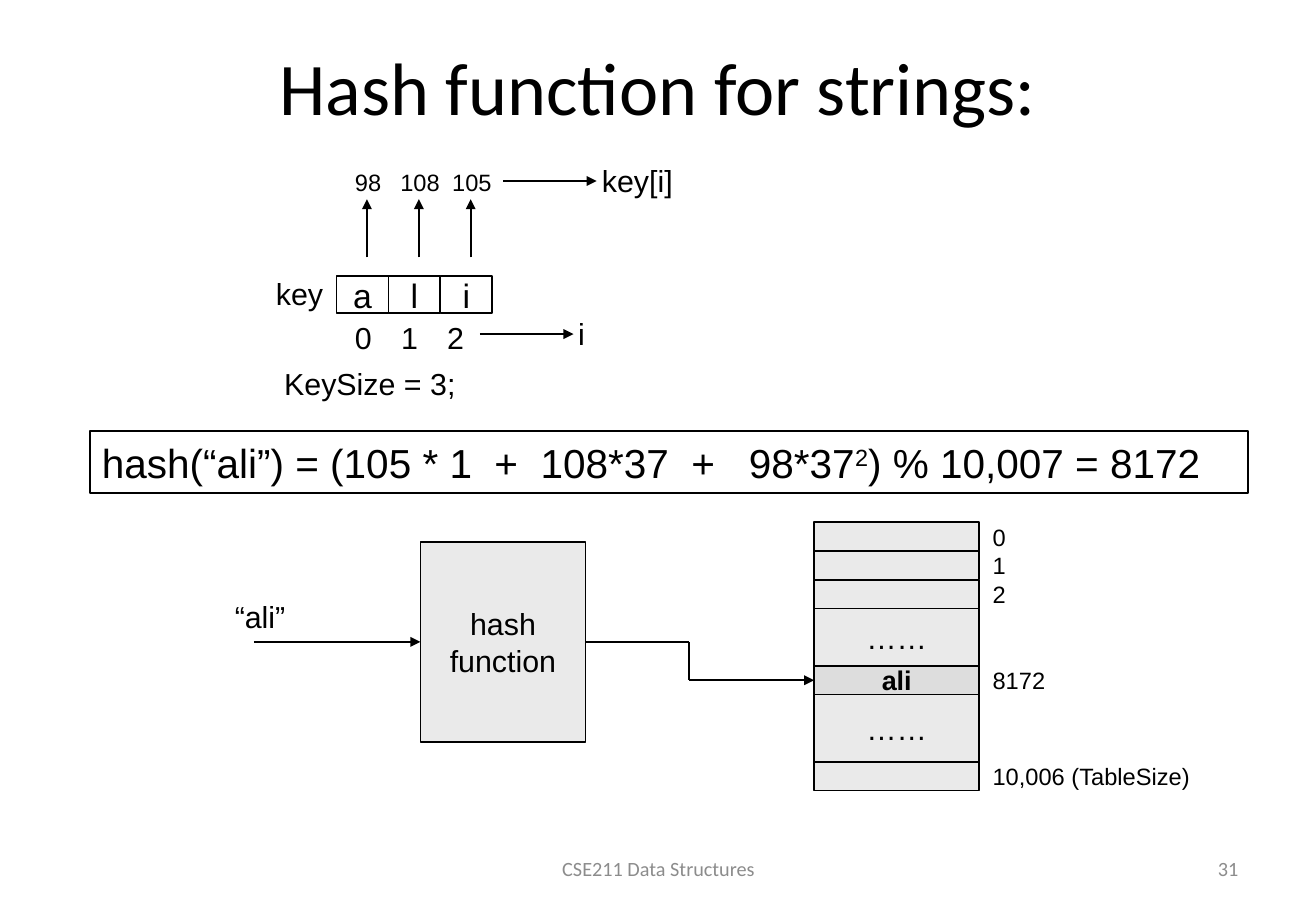
from dataclasses import dataclass

from lxml.etree import SubElement
from pptx import Presentation
from pptx.dml.color import RGBColor
from pptx.enum.shapes import MSO_CONNECTOR as Connector, MSO_SHAPE as Shape
from pptx.enum.text import MSO_ANCHOR as Anchor, PP_ALIGN as Align
from pptx.oxml.ns import qn
from pptx.util import Inches, Pt


@dataclass(frozen=True)
class Theme:
    ink: str = "000000"
    muted: str = "8C8C8C"
    panel: str = "EAEAEA"
    highlight: str = "DDDDDD"
    body_font: str = "Arial"
    title_font: str = "Calibri"
    title: int = 44
    formula: int = 24
    letter: int = 20
    body: int = 18
    entry: int = 16
    small: int = 14
    footer: int = 12
    line: int = 1


@dataclass(frozen=True)
class Box:
    left: float
    top: float
    width: float
    height: float

    def inside(self, column, row, columns, rows):
        return Box(self.left + column, self.top + row, columns, rows)

    def centered(self, column, row, columns, rows):
        return self.inside(column - columns / 2, row - rows / 2, columns, rows)

    def point(self, column, row):
        return self.left + column, self.top + row

    def lengths(self):
        return [grid(value) for value in (self.left, self.top, self.width, self.height)]


THEME = Theme()
COLUMNS, ROWS = 108.3, 75
SLIDE_HEIGHT = Inches(7.5)


def grid(units):
    return round(units * SLIDE_HEIGHT / ROWS)


def write(shape, text, size, align=Align.CENTER, font=THEME.body_font,
          color=THEME.ink, bold=False, wrap=False):
    frame = shape.text_frame
    frame.text = text
    frame.word_wrap = wrap
    frame.vertical_anchor = Anchor.MIDDLE
    for paragraph in frame.paragraphs:
        paragraph.alignment = align
        for run in paragraph.runs:
            run.font.name = font
            run.font.size = Pt(size)
            run.font.bold = bold
            run.font.color.rgb = RGBColor.from_string(color)


def add_label(slide, box, text, size=THEME.body, **style):
    write(slide.shapes.add_textbox(*box.lengths()), text, size, **style)


def add_rectangle(slide, box, fill=None):
    shape = slide.shapes.add_shape(Shape.RECTANGLE, *box.lengths())
    shape.shadow.inherit = False
    if fill:
        shape.fill.solid()
        shape.fill.fore_color.rgb = RGBColor.from_string(fill)
    else:
        shape.fill.background()
    shape.line.color.rgb = RGBColor.from_string(THEME.ink)
    shape.line.width = Pt(THEME.line)
    return shape


def add_line(slide, start, end, arrow=True):
    connector = slide.shapes.add_connector(
        Connector.STRAIGHT, *[grid(value) for value in (*start, *end)])
    connector.line.color.rgb = RGBColor.from_string(THEME.ink)
    connector.line.width = Pt(THEME.line)
    properties = connector._element.spPr
    if arrow:
        SubElement(properties.find(qn("a:ln")), qn("a:tailEnd"), type="triangle")
    SubElement(properties, qn("a:effectLst"))
    return connector


def add_title(slide, box):
    title = slide.shapes.title
    title.left, title.top, title.width, title.height = box.lengths()
    write(title, "Hash function for strings:", THEME.title,
          font=THEME.title_font, wrap=True)


def add_key_diagram(slide, box):
    pitch = 4.27
    for index, (letter, code) in enumerate(zip("ali", ("98", "108", "105"))):
        cell = add_rectangle(slide, box.inside(6 + index * pitch, 10, pitch, 3.1))
        write(cell, letter, THEME.letter)
        middle = 8.5 + index * pitch
        add_line(slide, box.point(middle, 8.5), box.point(middle, 3.7))
        add_label(slide, box.centered(middle + 0.1, 2.3, 6.4, 3.4), code, THEME.small)
        add_label(slide, box.centered(8.2 + index * 3.8, 15.05, 3.4, 4.1), str(index))
    for column, row, text, columns in ((17.8, 14.8, "i", 2.5), (19.7, 2.2, "key[i]", 7.9)):
        end = column + 7.7
        add_line(slide, box.point(column, row), box.point(end, row))
        add_label(slide, box.inside(end - 0.6, row - 2.1, columns, 4.1), text)
    add_label(slide, box.inside(0, 9.4, 5.9, 4.1), "key")
    add_label(slide, box.inside(0.7, 16.8, 16.9, 4.1), "KeySize = 3;",
              align=Align.LEFT, wrap=True)


def add_formula(slide, box):
    shape = add_rectangle(slide, box)
    write(shape, "hash(“ali”) = (105 * 1  +  108*37  +   98*37",
          THEME.formula, align=Align.LEFT, wrap=True)
    paragraph = shape.text_frame.paragraphs[0]
    for text, baseline in (("2", "30000"), (") % 10,007 = 8172", "0")):
        run = paragraph.add_run()
        run.text = text
        run.font.name = THEME.body_font
        run.font.size = Pt(THEME.formula)
        run.font.color.rgb = RGBColor.from_string(THEME.ink)
        run._r.get_or_add_rPr().set("baseline", baseline)


def add_hash_table(slide, box):
    rows = (("", 1, "0"), ("", 1, "1"), ("", 1, "2"), ("……", 2, ""),
            ("ali", 1, "8172"), ("……", 2.35, ""), ("", 1, "10,006 (TableSize)"))
    unit = box.height / sum(span for _, span, _ in rows)
    top = 0
    for text, span, index in rows:
        height = span * unit
        found = text == "ali"
        row = add_rectangle(slide, box.inside(0, top, box.width, height),
                            THEME.highlight if found else THEME.panel)
        if text:
            write(row, text, THEME.entry if found else THEME.body, bold=found)
        if found:
            entry, entry_middle = row, box.top + top + height / 2
        if index:
            middle = top + height / 2
            add_label(slide, box.inside(box.width + 0.1, middle - 1.7, 20, 3.4),
                      index, THEME.small, align=Align.LEFT, wrap=True)
        top += height
    return entry, (box.left, entry_middle)


def add_hash_flow(slide, box, entry, entry_point):
    function = add_rectangle(slide, box, THEME.panel)
    write(function, "hash\nfunction", THEME.body)
    middle = box.height / 2
    add_label(slide, box.centered(-13.2, middle - 2.1, 6.2, 4.1), "“ali”")
    incoming = add_line(slide, box.point(-13.7, middle), box.point(0, middle))
    incoming.end_connect(function, 1)
    turn = box.point(box.width + 8.5, middle)
    drop = turn[0], entry_point[1]
    outgoing = add_line(slide, box.point(box.width, middle), turn, arrow=False)
    outgoing.begin_connect(function, 3)
    add_line(slide, turn, drop, arrow=False)
    add_line(slide, drop, entry_point).end_connect(entry, 1)


def add_footer(slide, box):
    for left, columns, text, align in ((28.8, 40, "CSE211 Data Structures", Align.CENTER),
                                       (72.2, 25.3, "31", Align.RIGHT)):
        add_label(slide, box.inside(left, 0, columns, box.height), text, THEME.footer,
                  align=align, font=THEME.title_font, color=THEME.muted, wrap=True)


def main():
    presentation = Presentation()
    presentation.slide_width = grid(COLUMNS)
    presentation.slide_height = SLIDE_HEIGHT
    slide = presentation.slides.add_slide(presentation.slide_layouts[5])
    add_title(slide, Box(5.4, 2.5, 97.5, 9.2))
    add_key_diagram(slide, Box(21.7, 12.7, 34.7, 20.9))
    add_formula(slide, Box(7.4, 35.5, 95.3, 5.1))
    entry, entry_point = add_hash_table(slide, Box(67, 43, 13.6, 22.1))
    add_hash_flow(slide, Box(34.6, 44.6, 13.6, 16.5), entry, entry_point)
    add_footer(slide, Box(5.4, 69.5, 97.5, 4))
    presentation.save("out.pptx")


if __name__ == "__main__":
    main()
